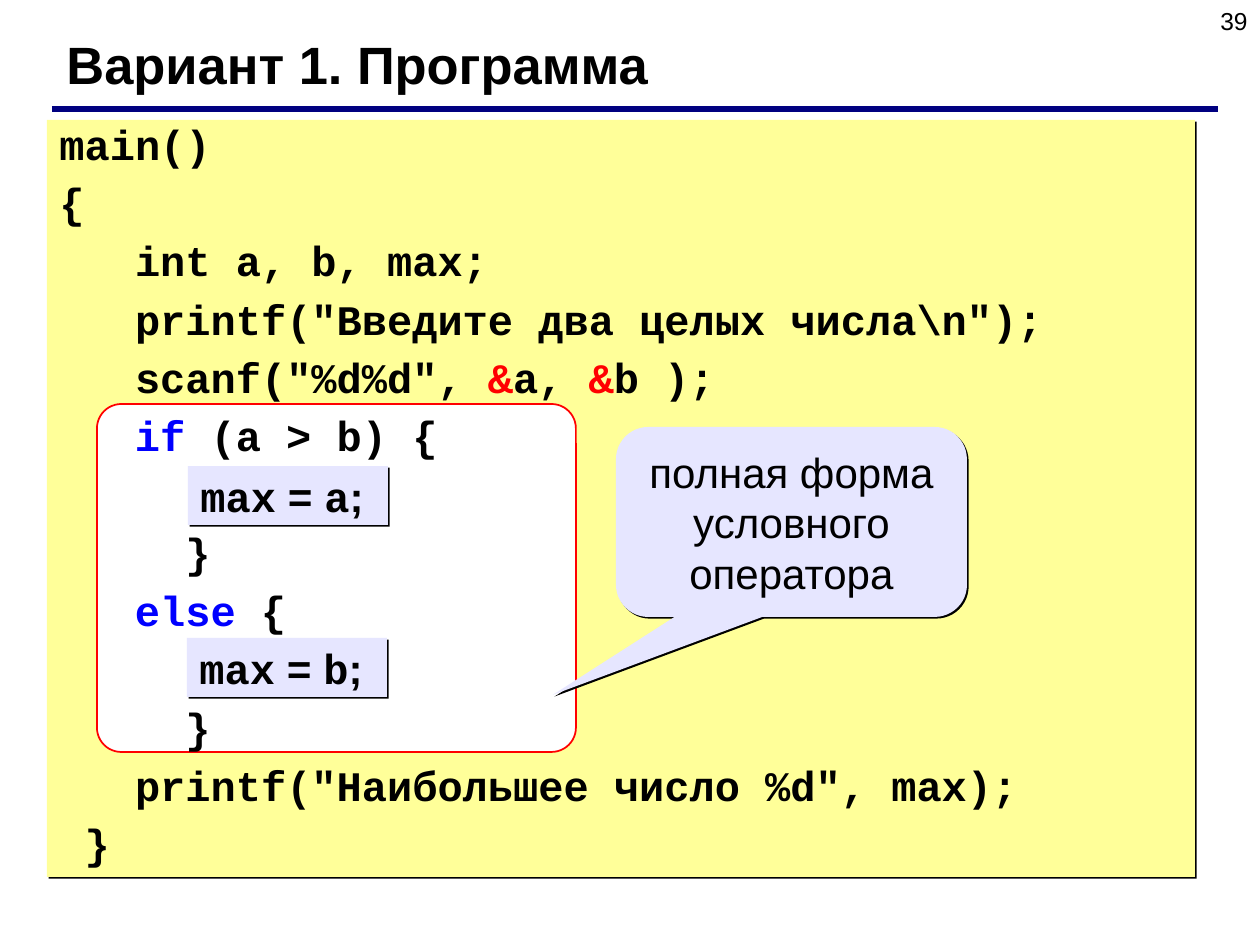
from lxml.etree import SubElement
from pptx import Presentation
from pptx.dml.color import RGBColor
from pptx.enum.shapes import MSO_CONNECTOR, MSO_SHAPE
from pptx.enum.text import MSO_ANCHOR, PP_ALIGN
from pptx.oxml.ns import qn
from pptx.util import Emu, Pt

PIXEL = 914400 / 126
BLACK = RGBColor(0x00, 0x00, 0x00)
WHITE = RGBColor(0xFF, 0xFF, 0xFF)
RED = RGBColor(0xFF, 0x00, 0x00)
BLUE = RGBColor(0x00, 0x00, 0xFF)
NAVY = RGBColor(0x00, 0x00, 0x80)
YELLOW = RGBColor(0xFF, 0xFF, 0x99)
LAVENDER = RGBColor(0xE6, 0xE6, 0xFF)

TITLE_FONT = {"name": "Arial", "size": Pt(30), "bold": True}
NUMBER_FONT = {"name": "Arial", "size": Pt(14)}
CALLOUT_FONT = {"name": "Arial", "size": Pt(24)}
CODE_FONT = {"name": "Courier New", "size": Pt(24), "bold": True}
SPACER_FONT = {"name": "Arial", "size": Pt(24), "bold": True}

LINE_GAP = 4.5
BRANCH_GAP = 37.8
CODE_LINES = [
    (0, [("main()", BLACK)]),
    (LINE_GAP, [("{", BLACK)]),
    (LINE_GAP, [("   int a, b, max;", BLACK)]),
    (LINE_GAP, [('   printf("Введите два целых числа\\n");', BLACK)]),
    (LINE_GAP, [('   scanf("%d%d", ', BLACK), ("&", RED), ("a, ", BLACK),
                ("&", RED), ("b );", BLACK)]),
    (LINE_GAP, [("   ", BLACK), ("if", BLUE), (" (a > b) {", BLACK)]),
    (BRANCH_GAP, [("     }", BLACK)]),
    (LINE_GAP, [("   ", BLACK), ("else", BLUE), (" {", BLACK)]),
    (BRANCH_GAP, [("     }", BLACK)]),
    (LINE_GAP, [('   printf("Наибольшее число %d", max);', BLACK)]),
    (LINE_GAP, [(" }", BLACK)]),
]
STATEMENTS = [("a", 188, 466), ("b", 187, 638)]


def px(value):
    """Turn pixels into EMU."""
    return Emu(round(value * PIXEL))


def box(*lengths):
    """Turn a row of pixel lengths into EMU."""
    return [px(length) for length in lengths]


def apply_format(target, values):
    """Set each attribute named in the format values."""
    for name, value in values.items():
        setattr(target, name, value)


def add_run(paragraph, text, font, color=BLACK):
    """Append a formatted run to a paragraph."""
    run = paragraph.add_run()
    run.text = text
    apply_format(run.font, font)
    run.font.color.rgb = color


def add_hard_shadow(shape):
    """Give a shape a thin black shadow down and to the right."""
    effects = shape._element.spPr.find(qn("a:effectLst"))
    shadow = SubElement(effects, qn("a:outerShdw"), dist="17780",
                        dir="2700000", algn="ctr", rotWithShape="0")
    SubElement(shadow, qn("a:srgbClr"), val=str(BLACK))


def add_panel(slide, kind, bounds, fill, outline=None, adjustments=()):
    """Add a filled shape, outlined or with a hard shadow."""
    shape = slide.shapes.add_shape(kind, *box(*bounds))
    for index, value in enumerate(adjustments):
        shape.adjustments[index] = value
    shape.fill.solid()
    shape.fill.fore_color.rgb = fill
    shape.shadow.inherit = False
    if outline is None:
        shape.line.fill.background()
        add_hard_shadow(shape)
    else:
        shape.line.color.rgb = outline
        shape.line.width = Pt(1)
    return shape


def write_text(shape, runs, alignment=PP_ALIGN.LEFT, anchor=MSO_ANCHOR.TOP):
    """Write one paragraph of runs into a shape or text box."""
    frame = shape.text_frame
    apply_format(frame, {"word_wrap": True, "vertical_anchor": anchor})
    paragraph = frame.paragraphs[0]
    paragraph.alignment = alignment
    for text, font in runs:
        add_run(paragraph, text, font)


def add_statement(slide, variable, left, top):
    """Add a box assigning one variable to max."""
    panel = add_panel(slide, MSO_SHAPE.RECTANGLE, (left, top, 200, 59), LAVENDER)
    runs = [("max", CODE_FONT), (" ", SPACER_FONT), ("=", CODE_FONT),
            (" ", SPACER_FONT), (variable, CODE_FONT), (";", SPACER_FONT)]
    write_text(panel, runs, anchor=MSO_ANCHOR.MIDDLE)


def add_rule(slide, left, right, top):
    """Draw the line below the title."""
    rule = slide.shapes.add_connector(MSO_CONNECTOR.STRAIGHT, *box(left, top, right, top))
    rule.line.color.rgb = NAVY
    rule.line.width = Pt(3)
    SubElement(rule._element.spPr, qn("a:effectLst"))


def add_code(slide, bounds):
    """Add the program listing with coloured keywords."""
    frame = slide.shapes.add_textbox(*box(*bounds)).text_frame
    frame.word_wrap = True
    for index, (gap, runs) in enumerate(CODE_LINES):
        paragraph = frame.add_paragraph() if index else frame.paragraphs[0]
        paragraph.space_before = Pt(gap)
        for text, color in runs:
            add_run(paragraph, text, CODE_FONT, color)


def main():
    """Build the slide and save it."""
    presentation = Presentation()
    apply_format(presentation, {"slide_width": px(1260), "slide_height": px(945)})
    slide = presentation.slides.add_slide(presentation.slide_layouts[6])

    number = slide.shapes.add_textbox(*box(966, 0, 294, 66))
    write_text(number, [("39", NUMBER_FONT)], PP_ALIGN.RIGHT)
    add_panel(slide, MSO_SHAPE.RECTANGLE, (47, 120, 1148, 757), YELLOW)
    add_panel(slide, MSO_SHAPE.ROUNDED_RECTANGLE, (97, 404, 479, 348), WHITE, RED, [0.07])
    add_rule(slide, 52, 1218, 109)
    title = slide.shapes.add_textbox(*box(54, 26, 1121, 76))
    write_text(title, [("Вариант 1. Программа", TITLE_FONT)])
    add_code(slide, (47, 112, 1142, 762))
    for variable, left, top in STATEMENTS:
        add_statement(slide, variable, left, top)
    callout = add_panel(slide, MSO_SHAPE.ROUNDED_RECTANGULAR_CALLOUT,
                        (616, 427, 351, 190), LAVENDER, adjustments=[-0.68, 0.91, 0.17])
    write_text(callout, [("полная форма условного оператора", CALLOUT_FONT)],
               PP_ALIGN.CENTER, MSO_ANCHOR.MIDDLE)

    presentation.save("out.pptx")


if __name__ == "__main__":
    main()
